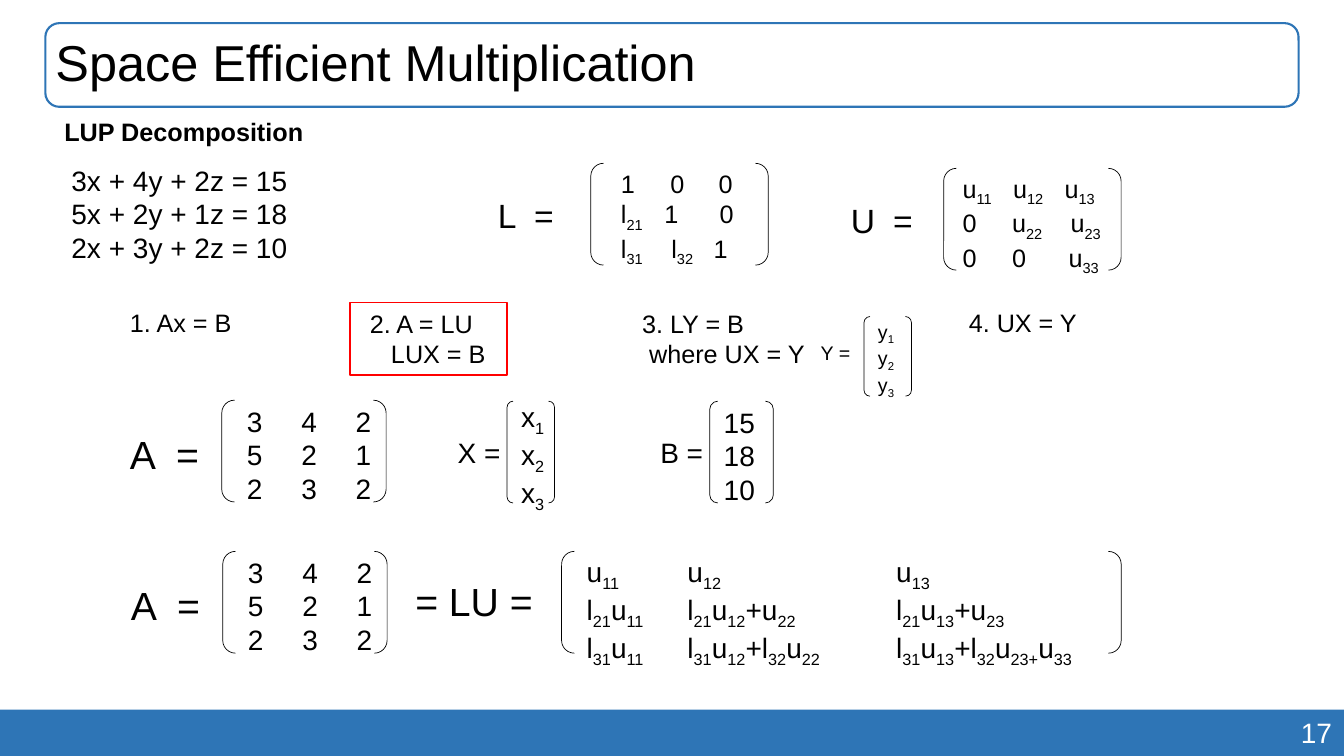
from lxml.etree import SubElement
from pptx import Presentation
from pptx.dml.color import RGBColor
from pptx.enum.shapes import MSO_SHAPE
from pptx.enum.text import MSO_ANCHOR, MSO_AUTO_SIZE, PP_ALIGN
from pptx.oxml.ns import qn
from pptx.util import Inches, Pt

BLUE = RGBColor(0x2E, 0x75, 0xB6)
RED = RGBColor(0xFF, 0x00, 0x00)
BLACK = RGBColor(0x00, 0x00, 0x00)
WHITE = RGBColor(0xFF, 0xFF, 0xFF)
FONT = "Arial"
A_ROWS = ["3\t4\t2", "5\t2\t1", "2\t3\t2"]
A_STOPS = [(0.54, 1.08)] * 3


def style_font(font, size, color=BLACK, bold=False):
    font.name = FONT
    font.size = Pt(size)
    font.bold = bold
    font.color.rgb = color


def add_tab_stops(para, stops):
    tab_list = SubElement(para._p.get_or_add_pPr(), qn("a:tabLst"))
    for stop in stops:
        SubElement(tab_list, qn("a:tab"), pos=str(Inches(stop)), algn="l")


def fill_line(para, line, size, color, bold):
    for index, piece in enumerate(line.replace("}", "{").split("{")):
        if piece:
            span = para.add_run()
            span.text = piece
            style_font(span.font, size, color, bold)
            if index % 2:
                span._r.get_or_add_rPr().set("baseline", "-25000")


def add_text(shapes, place, lines, size, color=BLACK, bold=False,
             align=PP_ALIGN.LEFT, stops=(), indent=0):
    box = shapes.add_textbox(*map(Inches, place))
    frame = box.text_frame
    frame.word_wrap = True
    frame.auto_size = MSO_AUTO_SIZE.SHAPE_TO_FIT_TEXT
    frame.margin_right = Inches(0.1 if align == PP_ALIGN.RIGHT else 0)
    for index, line in enumerate(lines):
        para = frame.add_paragraph() if index else frame.paragraphs[0]
        para.alignment = align
        if index and indent:
            para._p.get_or_add_pPr().set("marL", str(Inches(indent)))
        if index < len(stops):
            add_tab_stops(para, stops[index])
        fill_line(para, line, size, color, bold)


def add_outline(shapes, kind, place, color, width):
    shape = shapes.add_shape(kind, *map(Inches, place))
    shape.shadow.inherit = False
    shape.fill.background()
    shape.line.color.rgb = color
    shape.line.width = Pt(width)
    return shape


def add_matrix(page, label, label_place, label_size, rows, rows_place,
               size, bracket_place, label_stop=None, stops=()):
    shapes = page.shapes.add_group_shape().shapes
    label_stops = [(label_stop,)] if label_stop else ()
    add_text(shapes, label_place, [label], label_size, stops=label_stops)
    add_text(shapes, rows_place, rows, size, stops=stops)
    bracket = add_outline(shapes, MSO_SHAPE.DOUBLE_BRACKET, bracket_place,
                          BLACK, 0.5)
    bracket.adjustments[0] = 0.125


def add_title(page, text):
    place = (0.45, 0.23, 12.43, 0.83)
    add_outline(page.shapes, MSO_SHAPE.ROUNDED_RECTANGLE, place, BLUE, 1.5)
    title = page.shapes.title
    title.left, title.top, title.width, title.height = map(Inches, place)
    frame = title.text_frame
    frame.text = text
    frame.vertical_anchor = MSO_ANCHOR.MIDDLE
    para = frame.paragraphs[0]
    para.alignment = PP_ALIGN.LEFT
    para.line_spacing = 0.9
    style_font(para.runs[0].font, 36)


def add_footer(page, number):
    bar = page.shapes.add_shape(MSO_SHAPE.RECTANGLE, Inches(0), Inches(7.04),
                                Inches(13.33), Inches(0.46))
    bar.shadow.inherit = False
    bar.fill.solid()
    bar.fill.fore_color.rgb = BLUE
    bar.line.fill.background()
    add_text(page.shapes, (9.41, 7.05, 3.9, 0.44), [number], 20, WHITE,
             align=PP_ALIGN.RIGHT)


def add_factors(page):
    add_matrix(page, "U\t=", (8.34, 1.93, 0.92, 0.5), 24,
               ["u{11}\tu{12}\tu{13}", "0\tu{22}\tu{23}", "0\t0\tu{33}"],
               (9.45, 1.67, 1.63, 1.01), 18, (9.36, 1.67, 1.76, 1.01),
               0.42, [(0.5, 1.01), (0.49, 1.07), (0.49, 1.05)])
    add_matrix(page, "L\t=", (4.84, 1.88, 0.85, 0.5), 24,
               ["1\t0\t0", "l{21}\t1\t0", "l{31}\tl{32}\t1"],
               (6.06, 1.62, 1.39, 1.01), 18, (5.86, 1.62, 1.76, 1.01),
               0.36, [(0.49, 0.97), (0.43, 0.98), (0.5, 0.92)])


def add_steps(page):
    steps = [
        ((1.19, 3, 1.22, 0.4), ["1. Ax = B"], 0),
        ((3.57, 3.01, 1.36, 0.71), ["2. A = LU", "LUX = B"], 0.21),
        ((6.27, 3.01, 1.83, 0.71), ["3. LY = B", "where UX = Y"], 0.07),
        ((9.51, 3, 1.28, 0.4), ["4. UX = Y"], 0),
    ]
    for place, lines, indent in steps:
        add_text(page.shapes, place, lines, 18, indent=indent)
    add_outline(page.shapes, MSO_SHAPE.RECTANGLE, (3.47, 3, 1.56, 0.72),
                RED, 1)


def add_vectors(page):
    add_matrix(page, "Y =", (8.04, 3.33, 0.55, 0.34), 14,
               ["y{1}", "y{2}", "y{3}"], (8.61, 3.12, 0.54, 0.81), 14,
               (8.57, 3.14, 0.47, 0.79))
    add_matrix(page, "X =", (4.44, 4.27, 0.71, 0.44), 20,
               ["x{1}", "x{2}", "x{3}"], (5.07, 3.91, 0.68, 1.11), 20,
               (5.03, 3.98, 0.47, 1.01))
    add_matrix(page, "B =", (6.45, 4.27, 0.71, 0.44), 20,
               ["15", "18", "10"], (7.08, 3.97, 0.67, 1.11), 20,
               (7.04, 3.98, 0.63, 1.01))


def add_products(page):
    for left, top in ((1.19, 3.97), (1.2, 5.47)):
        add_matrix(page, "A\t=", (left, top + 0.25, 1, 0.57), 28, A_ROWS,
                   (left + 1.16, top - 0.01, 1.44, 1.11), 20,
                   (left + 1.01, top, 1.63, 1.01), 0.46, A_STOPS)
    add_matrix(page, "= LU =", (4.02, 5.68, 1.38, 0.57), 28,
               ["u{11}\tu{12}\tu{13}",
                "l{21}u{11}\tl{21}u{12}+u{22}\tl{21}u{13}+u{23}",
                "l{31}u{11}\tl{31}u{12}+l{32}u{22}"
                "\tl{31}u{13}+l{32}u{23+}u{33}"],
               (5.72, 5.45, 5.21, 1.45), 20, (5.57, 5.47, 5.55, 1.01),
               stops=[(1, 3.07)] * 3)


def main():
    deck = Presentation()
    deck.slide_width = Inches(13.33)
    deck.slide_height = Inches(7.5)
    page = deck.slides.add_slide(deck.slide_layouts[5])
    add_footer(page, "17")
    add_title(page, "Space Efficient Multiplication")
    add_text(page.shapes, (0.54, 1.11, 2.6, 0.4), ["LUP Decomposition"], 18,
             bold=True)
    add_text(page.shapes, (0.61, 1.57, 2.35, 1.11),
             ["3x + 4y + 2z = 15", "5x + 2y + 1z = 18", "2x + 3y + 2z = 10"],
             20)
    add_factors(page)
    add_steps(page)
    add_vectors(page)
    add_products(page)
    deck.save("out.pptx")


if __name__ == "__main__":
    main()
